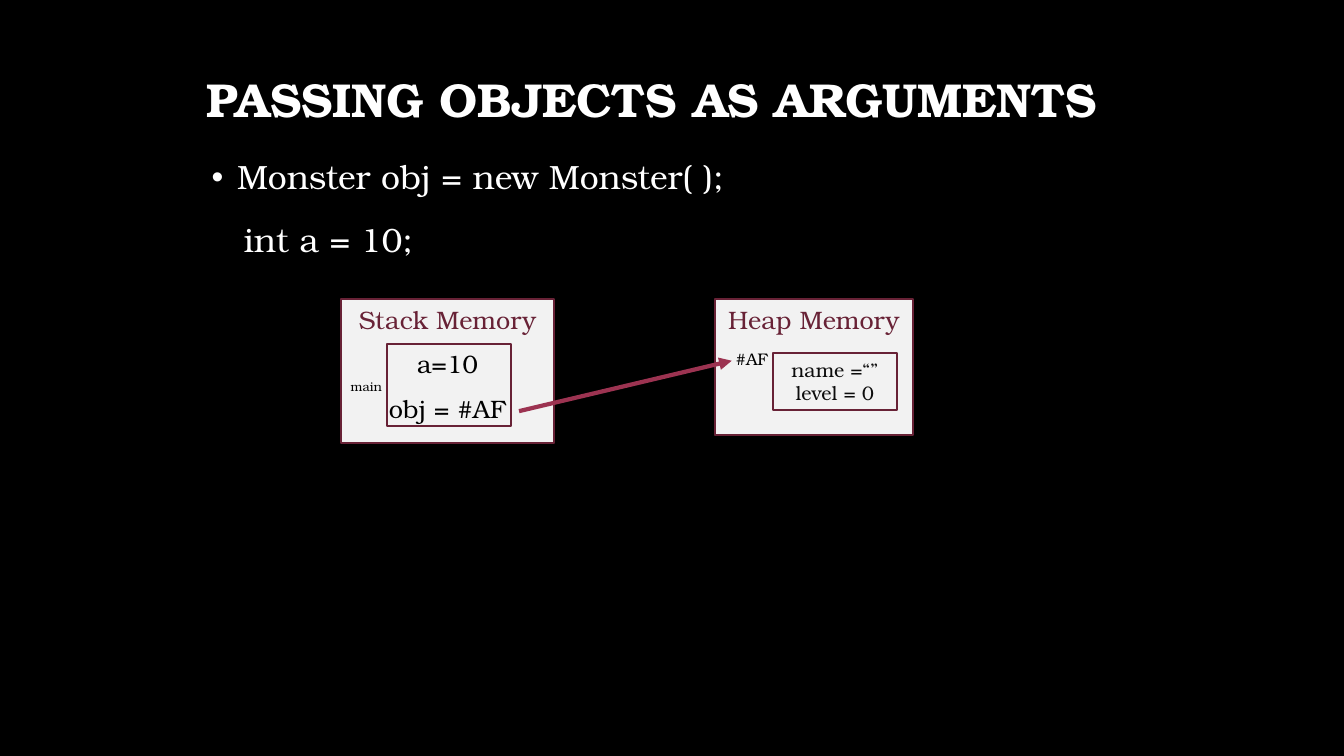
import pptx
import pptx.util
import pptx.dml.color
import pptx.enum.shapes
import pptx.enum.text
import pptx.oxml
import pptx.oxml.ns

Cm = pptx.util.Cm
Pt = pptx.util.Pt
RGBColor = pptx.dml.color.RGBColor
Align = pptx.enum.text.PP_ALIGN
Anchor = pptx.enum.text.MSO_ANCHOR
Kind = pptx.enum.shapes.MSO_SHAPE
qn = pptx.oxml.ns.qn

BLACK = RGBColor(0x00, 0x00, 0x00)
WHITE = RGBColor(0xFF, 0xFF, 0xFF)
PALE = RGBColor(0xF2, 0xF2, 0xF2)
WINE = RGBColor(0x68, 0x22, 0x36)
ROSE = RGBColor(0x9C, 0x33, 0x51)
INK = RGBColor(0x0D, 0x0D, 0x0D)
FACE = "TeX Gyre Bonum"


def apply(item, vals):
    for name, val in vals.items():
        setattr(item, name, val)


def place(item, box):
    names = ("left", "top", "width", "height")
    apply(item, {name: Cm(val) for name, val in zip(names, box)})


def write(frame, rows, anchor=Anchor.TOP):
    apply(frame, {"word_wrap": True, "vertical_anchor": anchor,
                  "auto_size": pptx.enum.text.MSO_AUTO_SIZE.NONE})
    for num, (text, size, color, vals) in enumerate(rows):
        para = frame.add_paragraph() if num else frame.paragraphs[0]
        apply(para, vals)
        run = para.add_run()
        run.text = text
        apply(run.font, {"name": FACE, "size": Pt(size)})
        run.font.color.rgb = color


def indent(para, left, hang, bullet=None):
    props = para._p.get_or_add_pPr()
    props.set("marL", str(Cm(left)))
    props.set("indent", str(Cm(hang)))
    if bullet:
        props.append(props.makeelement(qn("a:buFont"), {"typeface": "Arial"}))
        props.append(props.makeelement(qn("a:buChar"), {"char": bullet}))
    else:
        props.append(props.makeelement(qn("a:buNone"), {}))


def head(slide, box):
    title = slide.shapes.title
    place(title, box)
    vals = {"alignment": Align.CENTER, "line_spacing": 0.9}
    write(title.text_frame,
          [("PASSING OBJECTS AS ARGUMENTS", 34, WHITE, vals)], Anchor.MIDDLE)
    title.text_frame.paragraphs[0].runs[0].font.bold = True


def code(slide, box):
    body = slide.placeholders[1]
    place(body, box)
    vals = {"alignment": Align.LEFT, "line_spacing": 1.2,
            "space_before": Pt(10)}
    write(body.text_frame, [("Monster obj = new Monster( );", 24, WHITE, vals),
                            ("int a = 10;", 24, WHITE, vals)])
    first, last = body.text_frame.paragraphs
    indent(first, 0.64, -0.64, "•")
    indent(last, 0.81, 0)


def panel(slide, box, rows=(), fill=PALE):
    rect = slide.shapes.add_shape(Kind.RECTANGLE, *map(Cm, box))
    rect.shadow.inherit = False
    if fill is None:
        rect.fill.background()
    else:
        rect.fill.solid()
        rect.fill.fore_color.rgb = fill
    rect.line.color.rgb = WINE
    rect.line.width = Pt(1.5)
    write(rect.text_frame, rows)
    return rect


def stack(slide, box):
    left, top = box[:2]
    mid = {"alignment": Align.CENTER}
    panel(slide, box, [
        ("Stack Memory", 18, WINE, mid),
        ("a=10", 18, BLACK, {**mid, "space_before": Pt(10)}),
        ("main", 9, BLACK, {"alignment": Align.LEFT}),
        ("obj = #AF", 18, BLACK, mid)])
    panel(slide, (left + 1.17, top + 1.14, 3.12, 2.06), fill=None)


def heap(slide, box):
    left, top = box[:2]
    mid = {"alignment": Align.CENTER}
    rect = panel(slide, box, [
        ("Heap Memory", 18, WINE, mid),
        ("#AF", 12, BLACK, {"alignment": Align.LEFT,
                            "space_before": Pt(10)})])
    indent(rect.text_frame.paragraphs[1], 0.28, 0)
    panel(slide, (left + 1.47, top + 1.35, 3.12, 1.45), [
        ("name =“”", 14, INK, mid), ("level = 0", 14, INK, mid)])


def arrow(slide, start, end):
    link = slide.shapes.add_connector(
        pptx.enum.shapes.MSO_CONNECTOR.STRAIGHT, *map(Cm, start + end))
    link.line.color.rgb = ROSE
    link.line.width = Pt(3)
    line = link.line._get_or_add_ln()
    line.append(line.makeelement(qn("a:tailEnd"), {"type": "triangle"}))
    props = link._element.spPr
    props.append(props.makeelement(qn("a:effectLst"), {}))


def main():
    deck = pptx.Presentation()
    apply(deck, {"slide_width": Cm(33.87), "slide_height": Cm(19.05)})
    slide = deck.slides.add_slide(deck.slide_layouts[1])
    slide.background.fill.solid()
    slide.background.fill.fore_color.rgb = BLACK
    head(slide, (2.06, 0.74, 28.75, 3.68))
    code(slide, (5.08, 3.61, 24.18, 15.44))
    stack(slide, (8.59, 7.54, 5.38, 3.63))
    heap(slide, (18.01, 7.54, 5, 3.43))
    arrow(slide, (13.08, 10.36), (18.44, 9.09))
    deck.save("out.pptx")


if __name__ == "__main__":
    main()
